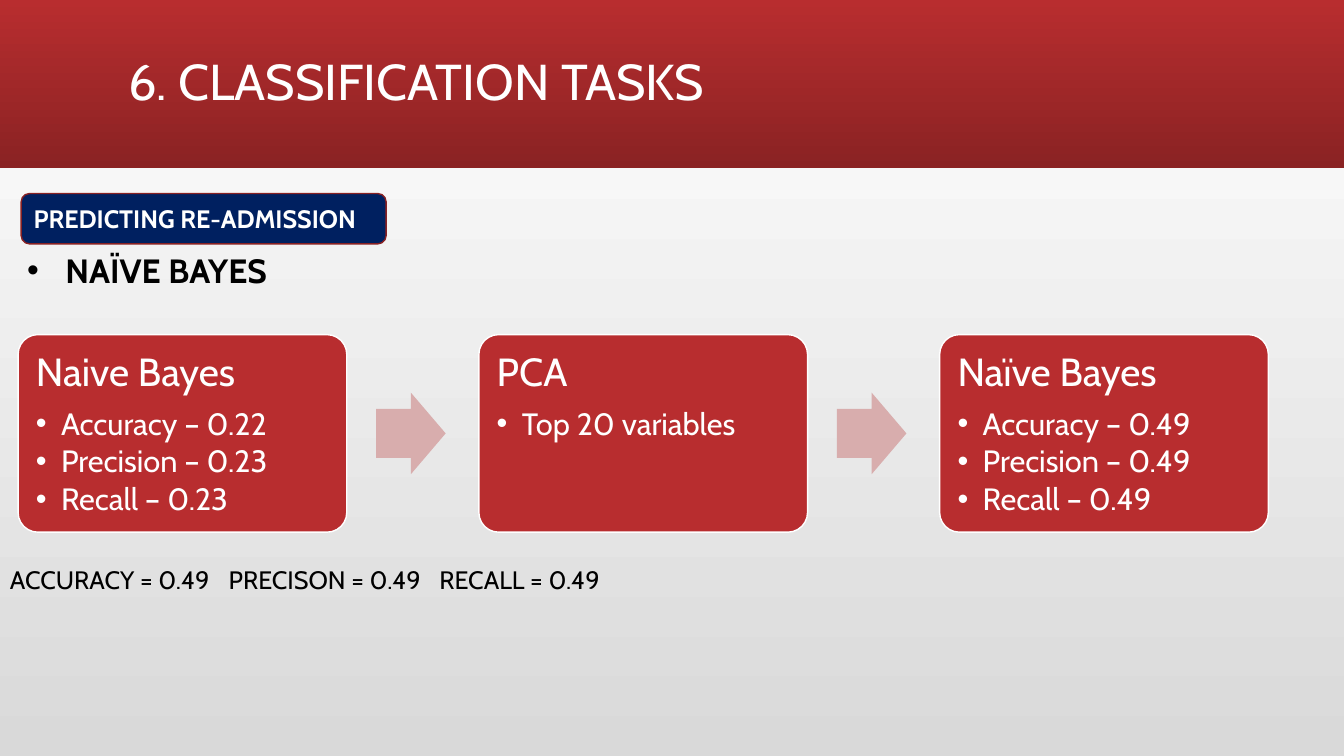
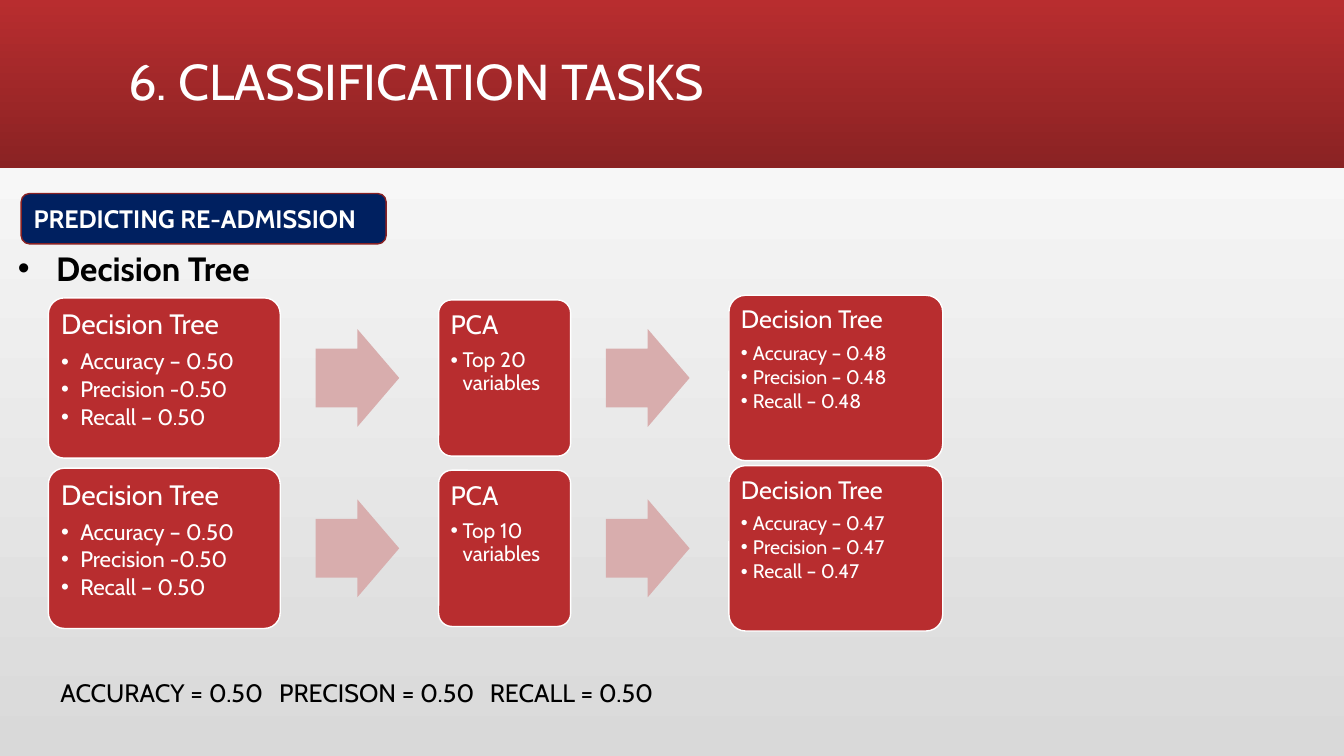
from dataclasses import dataclass

from lxml import etree
from pptx import Presentation
from pptx import util as u
from pptx.dml.color import RGBColor
from pptx.enum import shapes, text
from pptx.oxml.ns import qn

FONT = "Cabin"
COLORS = {
    "red": "B82D2F", "dark_red": "8A2223", "badge_line": "882123", "arrow": "D8ADAD",
    "navy": "002060", "white": "FFFFFF", "grey": "D9D9D9", "black": "000000",
}
PAGE_WIDTH, PAGE_HEIGHT = 13.33, 7.5
SUMMARY_TABS = (2.17, 4.26)


@dataclass
class CardStyle:
    width: float
    height: float
    heading: int
    item: int
    inset: float
    indent: float


@dataclass
class FlowStyle:
    cards: tuple
    arrow_width: float
    arrow_height: float
    gap_before: float
    gap_after: float


WIDE_CARD = CardStyle(3.26, 1.96, 28, 22, 0.12, 0.25)
WIDE_FLOW = FlowStyle((WIDE_CARD,) * 3, 0.69, 0.81, 0.29, 0.33)
COMPACT_FLOW = FlowStyle((
    CardStyle(2.3, 1.59, 20, 16, 0.08, 0.19),
    CardStyle(1.31, 1.55, 19, 15, 0.08, 0.12),
    CardStyle(2.12, 1.64, 18, 14, 0.07, 0.12),
), 0.83, 0.97, 0.35, 0.39)


def rgb(name):
    return RGBColor.from_string(COLORS[name])


def fill_gradient(fill, start, end, angle):
    fill.gradient()
    fill.gradient_angle = angle
    for stop, name in zip(fill.gradient_stops, (start, end)):
        stop.color.rgb = rgb(name)


def add_bullet(para, indent):
    props = para._p.get_or_add_pPr()
    props.set("marL", str(u.Inches(indent)))
    props.set("indent", str(-u.Inches(indent)))
    etree.SubElement(props, qn("a:buFont"), typeface="Arial")
    etree.SubElement(props, qn("a:buChar"), char="•")


def add_tabs(para, positions):
    tabs = etree.SubElement(para._p.get_or_add_pPr(), qn("a:tabLst"))
    for position in positions:
        etree.SubElement(tabs, qn("a:tab"), pos=str(u.Inches(position)), algn="l")


def write(para, words, size, color, bold=False, **layout):
    """Fill a left-aligned paragraph with one formatted run."""
    for name, value in {"alignment": text.PP_ALIGN.LEFT, **layout}.items():
        setattr(para, name, value)
    span = para.add_run()
    span.text = words
    for name, value in {"name": FONT, "size": u.Pt(size), "bold": bold}.items():
        setattr(span.font, name, value)
    span.font.color.rgb = rgb(color)


def add_box(page, kind, box, fill, line=None):
    shape = page.shapes.add_shape(kind, *map(u.Inches, box))
    shape.shadow.inherit = False
    shape.fill.solid()
    shape.fill.fore_color.rgb = rgb(fill)
    if line:
        shape.line.color.rgb = rgb(line)
        shape.line.width = u.Pt(1)
    else:
        shape.line.fill.background()
    return shape


def add_text_line(page, box):
    frame = page.shapes.add_textbox(*map(u.Inches, box)).text_frame
    frame.word_wrap = True
    return frame.paragraphs[0]


def style_layout(layout, page):
    """Give the layout its background, title place and red band."""
    fill_gradient(layout.background.fill, "grey", "white", 90)
    title = layout.placeholders[0]
    places = {"left": 1.17, "top": 0.11, "width": 11, "height": 1.45}
    for name, value in places.items():
        setattr(title, name, u.Inches(value))
    band = add_box(page, shapes.MSO_SHAPE.RECTANGLE, (0, 0, PAGE_WIDTH, 1.67), "red")
    fill_gradient(band.fill, "red", "dark_red", 270)
    layout.shapes.element.insert(2, band.element)


def add_header(page):
    frame = page.shapes.title.text_frame
    frame.vertical_anchor = text.MSO_ANCHOR.MIDDLE
    write(frame.paragraphs[0], "6. CLASSIFICATION TASKS", 36, "white", line_spacing=0.9)
    badge = add_box(page, shapes.MSO_SHAPE.ROUNDED_RECTANGLE, (0.21, 1.92, 3.62, 0.5),
                    "navy", "badge_line")
    badge.text_frame.vertical_anchor = text.MSO_ANCHOR.MIDDLE
    write(badge.text_frame.paragraphs[0], "PREDICTING RE-ADMISSION", 18, "white", True)


def add_method(page, left, top, name):
    para = add_text_line(page, (left, top, 4.5, 0.5))
    add_bullet(para, 0.38)
    write(para, name, 24, "black", True)


def add_summary(page, left, top, score):
    para = add_text_line(page, (left, top, 12, 0.4))
    add_tabs(para, SUMMARY_TABS)
    measures = ("ACCURACY", "PRECISON", "RECALL")
    write(para, "\t".join(f"{name} = {score}" for name in measures), 18, "black")


def add_card(page, left, middle, style, heading, items):
    card = add_box(page, shapes.MSO_SHAPE.ROUNDED_RECTANGLE,
                   (left, middle - style.height / 2, style.width, style.height),
                   "red", "white")
    card.adjustments[0] = 0.1
    frame = card.text_frame
    frame.word_wrap = True
    frame.vertical_anchor = text.MSO_ANCHOR.TOP
    for side in ("left", "top", "right", "bottom"):
        setattr(frame, f"margin_{side}", u.Inches(style.inset))
    write(frame.paragraphs[0], heading, style.heading, "white",
          line_spacing=0.9, space_after=u.Pt(style.heading * 0.35))
    for item in items:
        para = frame.add_paragraph()
        add_bullet(para, style.indent)
        write(para, item, style.item, "white",
              line_spacing=0.9, space_after=u.Pt(style.item * 0.15))


def add_flow(page, left, middle, style, steps):
    """Lay cards out from the left, centred on one line, with arrows between."""
    for index, (card, (heading, items)) in enumerate(zip(style.cards, steps)):
        if index:
            left += style.gap_before
            arrow = add_box(page, shapes.MSO_SHAPE.RIGHT_ARROW,
                            (left, middle - style.arrow_height / 2,
                             style.arrow_width, style.arrow_height), "arrow")
            arrow.adjustments[0] = 0.6
            left += style.arrow_width + style.gap_after
        add_card(page, left, middle, card, heading, items)
        left += card.width


def scores(value, precision_mark="– "):
    return (f"Accuracy – {value}", f"Precision {precision_mark}{value}", f"Recall – {value}")


def build_bayes(page):
    add_header(page)
    add_method(page, 0.17, 2.43, "NAÏVE BAYES")
    add_flow(page, 0.18, 4.3, WIDE_FLOW, (
        ("Naive Bayes", ("Accuracy – 0.22", "Precision – 0.23", "Recall – 0.23")),
        ("PCA", ("Top 20 variables",)),
        ("Naïve Bayes", scores("0.49")),
    ))
    add_summary(page, 0, 5.55, "0.49")


def build_tree(page):
    add_header(page)
    add_method(page, 0.08, 2.41, "Decision Tree")
    for row, (count, result) in enumerate(((20, "0.48"), (10, "0.47"))):
        add_flow(page, 0.48, 3.75 + row * 1.69, COMPACT_FLOW, (
            ("Decision Tree", scores("0.50", "-")),
            ("PCA", (f"Top {count} variables",)),
            ("Decision Tree", scores(result)),
        ))
    add_summary(page, 0.5, 6.67, "0.50")


def main():
    deck = Presentation()
    deck.slide_width = u.Inches(PAGE_WIDTH)
    deck.slide_height = u.Inches(PAGE_HEIGHT)
    layout = deck.slide_layouts[5]
    pages = [deck.slides.add_slide(layout) for _ in range(2)]
    style_layout(layout, pages[0])
    for build, page in zip((build_bayes, build_tree), pages):
        build(page)
    deck.save("out.pptx")


if __name__ == "__main__":
    main()
